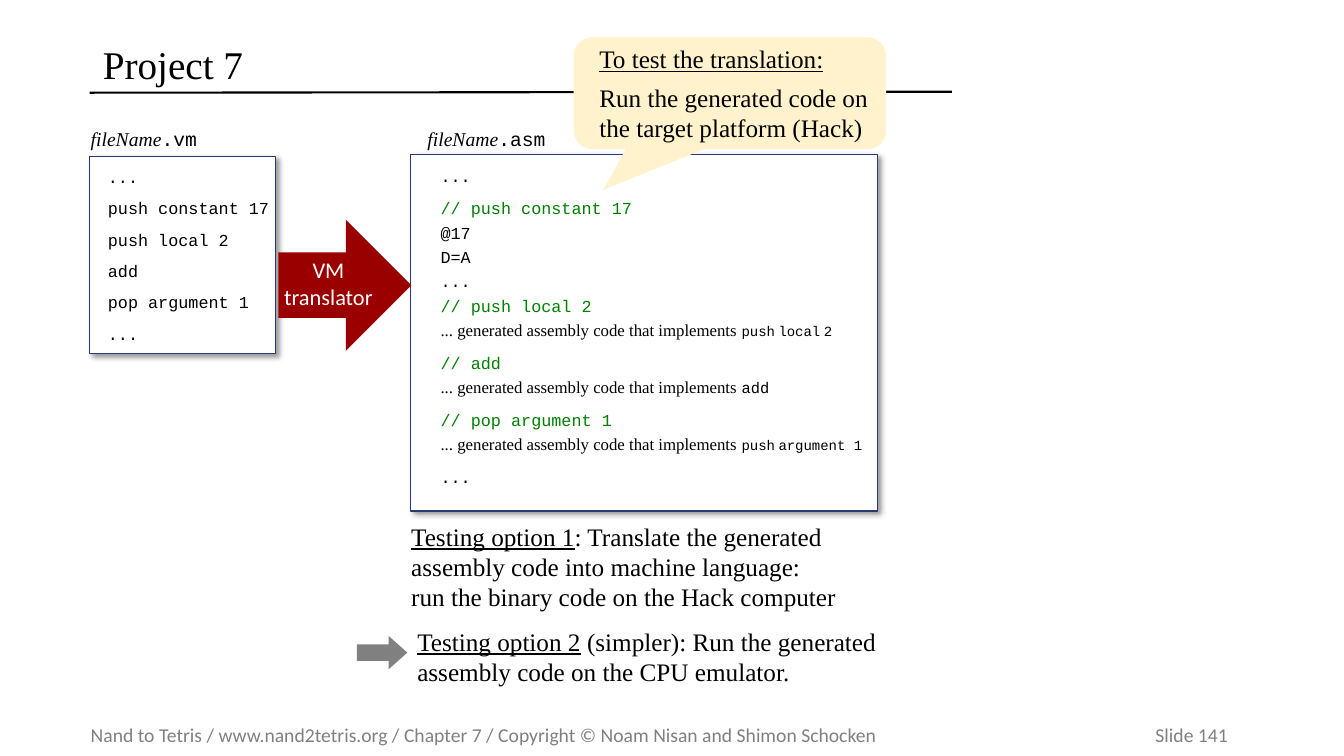
from lxml import etree
from pptx import Presentation
from pptx.dml.color import RGBColor
from pptx.enum.shapes import MSO_CONNECTOR, MSO_SHAPE
from pptx.enum.text import MSO_ANCHOR, MSO_AUTO_SIZE, PP_ALIGN
from pptx.oxml import parse_xml
from pptx.oxml.ns import nsdecls, qn
from pptx.util import Inches, Pt

RECTANGLE, ARROW = MSO_SHAPE.RECTANGLE, MSO_SHAPE.RIGHT_ARROW
CALLOUT = MSO_SHAPE.ROUNDED_RECTANGULAR_CALLOUT
TOP, MIDDLE = MSO_ANCHOR.TOP, MSO_ANCHOR.MIDDLE
LEFT, CENTER = PP_ALIGN.LEFT, PP_ALIGN.CENTER
SERIF, MONO, SANS = "Times New Roman", "Courier New", "Calibri"
BLACK, WHITE, GREEN, GRAY = "000000", "FFFFFF", "008000", "808080"

deck = Presentation()
deck.slide_width, deck.slide_height = Inches(13.33), Inches(7.5)
page = deck.slides.add_slide(deck.slide_layouts[5])


def add_box(place, fill=None, preset=None, insets=(0.1, 0.05, 0.1, 0.05), anchor=TOP):
    """Add a preset shape, or a plain text box when no preset is given."""
    place = [Inches(length) for length in place]
    if preset is None:
        box = page.shapes.add_textbox(*place)
    else:
        box = page.shapes.add_shape(preset, *place)
        box.shadow.inherit = False
        box.fill.solid()
        box.fill.fore_color.rgb = RGBColor.from_string(fill)
        box.line.fill.background()
    frame = box.text_frame
    frame.word_wrap, frame.vertical_anchor = True, anchor
    frame.margin_left, frame.margin_top, frame.margin_right, frame.margin_bottom = map(Inches, insets)
    return box


def write(box, paragraphs, align=LEFT):
    """Fill a box from (space before, spans); a span is text, font, size, colour, style."""
    for index, (space, spans) in enumerate(paragraphs):
        frame = box.text_frame
        para = frame.add_paragraph() if index else frame.paragraphs[0]
        para.alignment = align
        para.space_before = Pt(space if index else 0)
        for text, font, size, color, style in spans:
            for number, piece in enumerate(text.split("\n")):
                if number:
                    para.add_line_break()
                span = para.add_run()
                span.text = piece
                span.font.name, span.font.size = font, Pt(size)
                span.font.color.rgb = RGBColor.from_string(color)
                span.font.italic = style == "italic"
                span.font.underline = style == "underline"


# Footer, with the slide number at a tab stop
footer = add_box((0.9, 7.12, 12.25, 0.34), insets=(0, 0.05, 0, 0.05), anchor=MIDDLE)
properties = footer.text_frame.paragraphs[0]._p.get_or_add_pPr()
tabs = etree.SubElement(properties, qn("a:tabLst"))
etree.SubElement(tabs, qn("a:tab"), pos=str(Inches(10.56)), algn="l")
notice = "Nand to Tetris / www.nand2tetris.org / Chapter 7 / Copyright © Noam Nisan and Shimon Schocken"
write(footer, [(0, [(notice + "\tSlide 141", SANS, 14, GRAY, "")])])

# Title and its rule
title = page.shapes.title
title.left, title.top, title.width, title.height = map(Inches, (0.92, 0.32, 8.53, 0.63))
title.text_frame.auto_size = MSO_AUTO_SIZE.NONE
title.text_frame.vertical_anchor = MIDDLE
write(title, [(0, [("Project 7", SERIF, 28, BLACK, "")])])
rule = page.shapes.add_connector(
    MSO_CONNECTOR.STRAIGHT, Inches(0.89), Inches(0.92), Inches(9.44), Inches(0.91))
rule.line.color.rgb = RGBColor.from_string(BLACK)
rule.line.width = Pt(1.5)
etree.SubElement(rule._element.spPr, qn("a:effectLst"))

# Assembly and VM code panels
asm_panel = add_box((4.07, 1.53, 4.63, 3.54), WHITE, RECTANGLE, (0.3, 0.11, 0.1, 0.11))
vm_panel = add_box((0.89, 1.55, 1.84, 1.96), WHITE, RECTANGLE, (0.18, 0.21, 0, 0.21), MIDDLE)
for panel in (asm_panel, vm_panel):
    panel.line.color.rgb = RGBColor.from_string("293973")
    panel.line.width = Pt(0.75)
    effects = panel._element.spPr.find(qn("a:effectLst"))
    effects.append(parse_xml(
        f'<a:outerShdw {nsdecls("a")} blurRad="{Pt(4)}" dist="{Pt(3)}" dir="2700000" algn="tl"'
        f' rotWithShape="0"><a:srgbClr val="{BLACK}"><a:alpha val="40000"/></a:srgbClr></a:outerShdw>'))

generated = ("... generated assembly code that implements ", SERIF, 12, BLACK, "")
narrow_space = (" ", SERIF, 10, BLACK, "")
asm_lines = [(space, [(text, MONO, 12, GREEN if text.startswith("//") else BLACK, "")])
             for space, text in [(0, "..."), (9, "// push constant 17"), (3, "@17"), (3, "D=A"), (3, "...")]]
implementations = [
    (3, "// push local 2", [("push", MONO, 10, BLACK, ""), narrow_space, ("local", MONO, 10, BLACK, ""),
                            narrow_space, ("2", MONO, 10, BLACK, "")]),
    (9, "// add", [("add", MONO, 11, BLACK, "")]),
    (9, "// pop argument 1", [("push", MONO, 10, BLACK, ""), narrow_space,
                              ("argument 1", MONO, 10, BLACK, "")]),
]
for space, comment, command in implementations:
    asm_lines.append((space, [(comment, MONO, 12, GREEN, "")]))
    asm_lines.append((3, [generated] + command))
asm_lines.append((9, [("...", MONO, 12, BLACK, "")]))
write(asm_panel, asm_lines)

vm_code = ["...", "push constant 17", "push local 2", "add", "pop argument 1", "..."]
write(vm_panel, [(8, [(line, MONO, 12, BLACK, "")]) for line in vm_code])

# File names above the panels
for left, extension in [(0.9, ".vm"), (4.24, ".asm")]:
    label = add_box((left, 1.21, 3, 0.42), insets=(0, 0.05, 0, 0.05))
    write(label, [(0, [("fileName", SERIF, 14, BLACK, "italic"), (extension, MONO, 14, BLACK, "")])])

# Translator arrow and callout
translator = add_box((2.76, 2.18, 1.32, 1.3), "9B0001", ARROW, (0, 0, 0, 0.05), MIDDLE)
write(translator, [(0, [("VM translator", SANS, 16, WHITE, "")])], CENTER)

callout = add_box((5.69, 0.37, 3.1, 1.11), "FFF2CC", CALLOUT, (0.2, 0.05, 0.1, 0.05), MIDDLE)
for index, value in enumerate((-0.405, 0.863, 0.167)):
    callout.adjustments[index] = value
write(callout, [
    (0, [("To test the translation:", SERIF, 18, BLACK, "underline")]),
    (6, [("Run the generated code on the target platform (Hack)", SERIF, 18, BLACK, "")]),
])

# Testing options, the second one marked by an arrow
options = [
    (3.98, 5.12, "Testing option 1", ": Translate the generated assembly code into machine language:\n"
                                     "run the binary code on the Hack computer"),
    (4.04, 6.16, "Testing option 2", " (simpler): Run the generated assembly code on the CPU emulator."),
]
for left, top, name, explanation in options:
    option = add_box((left, top, 4.75, 1))
    write(option, [(0, [(name, SERIF, 18, BLACK, "underline"), (explanation, SERIF, 18, BLACK, "")])])
marker = add_box((3.54, 6.31, 0.5, 0.33), GRAY, ARROW)
marker.adjustments[1] = 0.56

deck.save("out.pptx")
